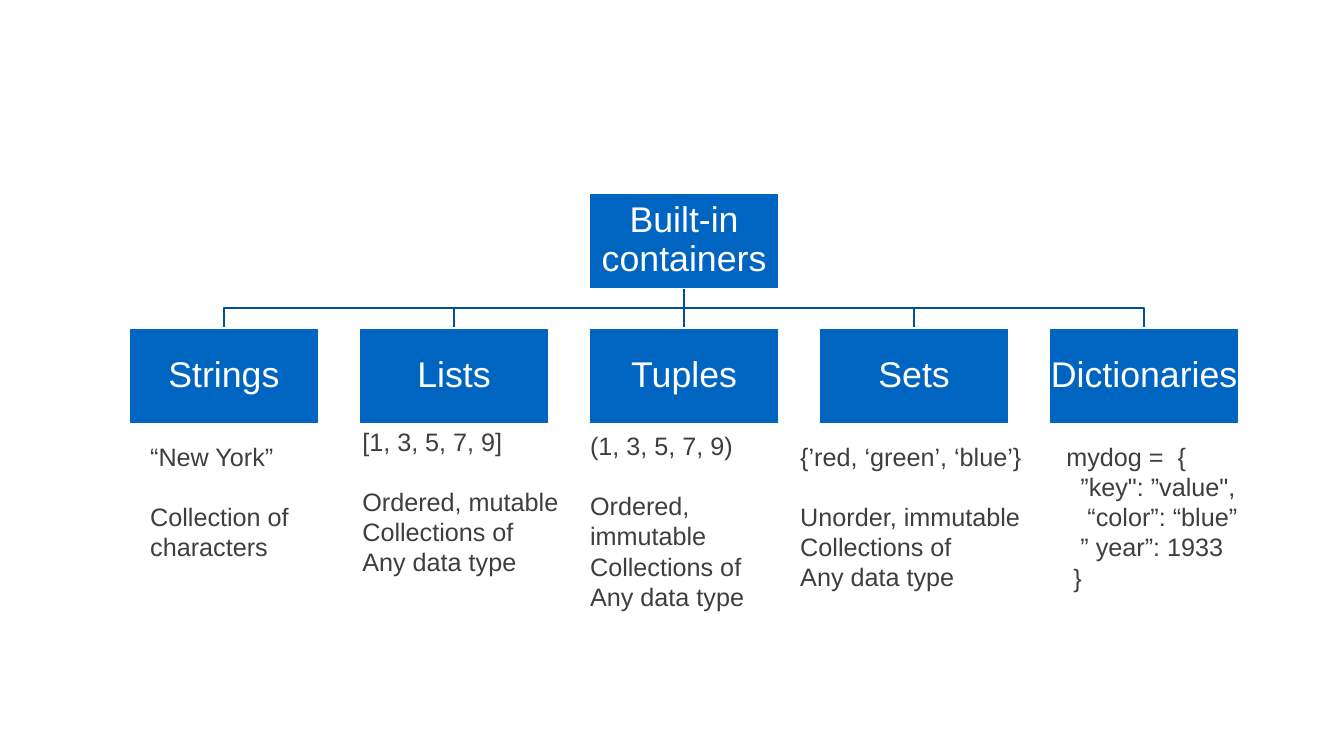
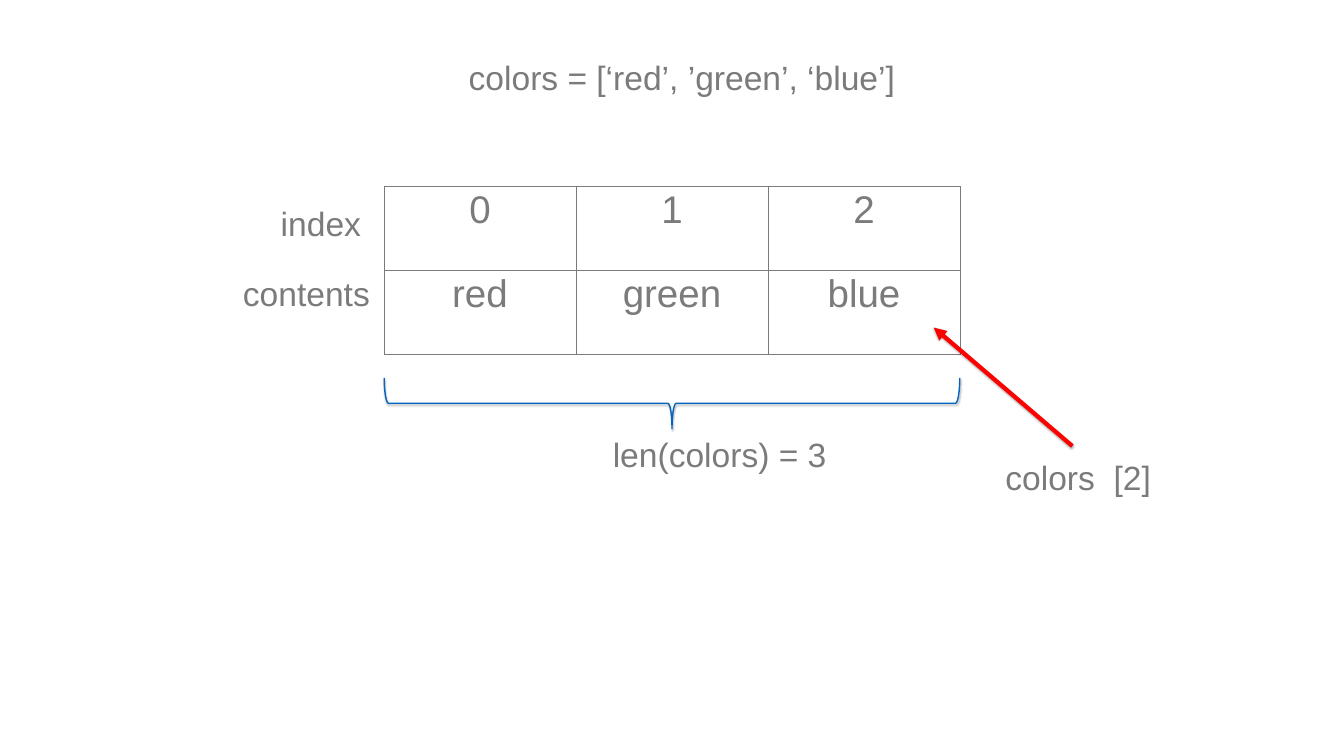
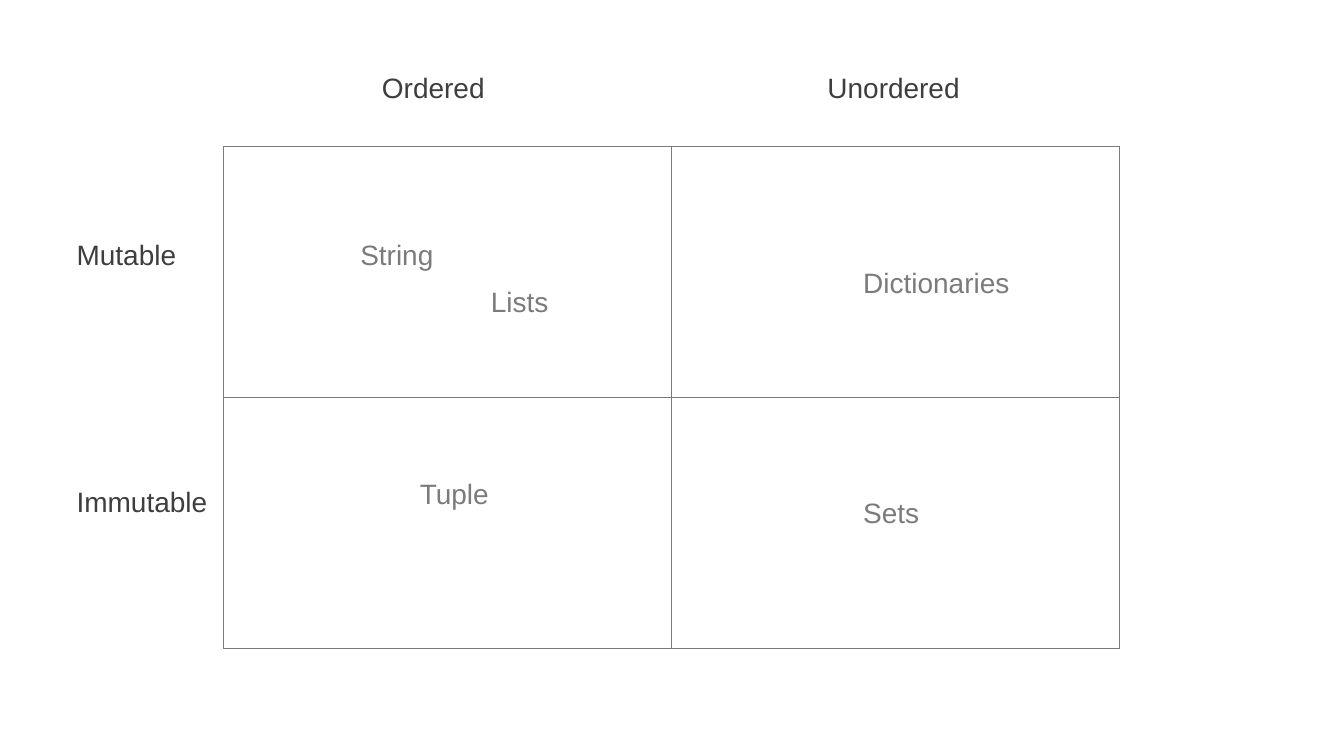
from dataclasses import dataclass
from typing import Optional

from lxml.etree import SubElement
from pptx import Presentation
from pptx.dml.color import RGBColor
from pptx.enum.shapes import MSO_CONNECTOR, MSO_SHAPE
from pptx.enum.text import MSO_ANCHOR, PP_ALIGN
from pptx.oxml import parse_xml
from pptx.oxml.ns import nsdecls, qn
from pptx.slide import Slide
from pptx.table import Table, _Cell
from pptx.text.text import TextFrame
from pptx.util import Inches, Pt

FONT = "Arial"
WHITE = "FFFFFF"
BOX_BLUE = "0065C0"
BRANCH_BLUE = "005098"
BRACE_BLUE = "0365C0"
RED = "FF0000"
DARK = "3E3E3E"
GREY = "7B7B7B"

NODE_WIDTH, NODE_HEIGHT = 3.77, 1.89
NODE_LEFT, NODE_STEP = 2.56, 4.565
NODE_INSET = 0.01
ROOT_TOP, NODE_TOP = 3.83, 6.51
SPACE_WIDTH = 0.14
BLANK_LINE = 42.5


@dataclass(frozen=True)
class Label:
    text: str
    left: float
    top: float
    width: float
    color: str = GREY


@dataclass(frozen=True)
class Container:
    name: str
    example: str
    left: float
    top: float
    width: float
    height: float
    traits: tuple[str, ...] = ()
    code: tuple[tuple[int, str], ...] = ()


CONTAINERS = (
    Container("Strings", "“New York”", 2.93, 8.7, 3.02, 2.52,
              ("Collection of", "characters")),
    Container("Lists", "[1, 3, 5, 7, 9]", 7.14, 8.4, 4.03, 3.13,
              ("Ordered, mutable", "Collections of", "Any data type")),
    Container("Tuples", "(1, 3, 5, 7, 9)", 11.66, 8.49, 4.03, 3.74,
              ("Ordered, immutable", "Collections of", "Any data type")),
    Container("Sets", "{’red, ‘green’, ‘blue’}", 15.83, 8.7, 4.67, 3.13,
              ("Unorder, immutable", "Collections of", "Any data type")),
    Container("Dictionaries", "mydog =  {", 21.11, 8.7, 3.6, 3.13,
              code=((2, "”key\": ”value\","), (3, "“color”: “blue”"),
                    (2, "” year”: 1933"), (1, "}"))),
)

LIST_LABELS = (
    Label("colors = [‘red’, ’green’, ‘blue’]", 9.25, 1.07, 8.85),
    Label("index", 5.52, 3.98, 1.71),
    Label("contents", 4.77, 5.36, 2.65),
    Label("colors  [2]", 19.9, 9.01, 3.02),
    Label("len(colors) = 3", 12.11, 8.56, 4.39),
)

MATRIX_LABELS = (
    Label("Mutable", 1.47, 4.67, 2.1, DARK),
    Label("Immutable", 1.47, 9.56, 2.72, DARK),
    Label("Ordered", 7.53, 1.36, 2.16, DARK),
    Label("Unordered", 16.37, 1.36, 2.75, DARK),
    Label("String", 7.1, 4.67, 1.57),
    Label("Lists", 9.69, 5.59, 1.25),
    Label("Tuple", 8.28, 9.41, 1.5),
    Label("Sets", 17.08, 9.79, 1.22),
    Label("Dictionaries", 17.08, 5.21, 3.03),
)


def rgb(color: str) -> RGBColor:
    return RGBColor.from_string(color)


def write(frame: TextFrame, text: str, *, size: float, color: str,
          align: PP_ALIGN = PP_ALIGN.LEFT, spacing: Optional[float] = None,
          before: float = 0, indent: float = 0, first: bool = True) -> None:
    paragraph = frame.paragraphs[0] if first else frame.add_paragraph()
    paragraph.alignment = align
    if spacing:
        paragraph.line_spacing = spacing
    if before:
        paragraph.space_before = Pt(before)
    if indent:
        properties = paragraph._p.get_or_add_pPr()
        properties.set("marL", str(Inches(indent)))
        properties.set("indent", "0")
    run = paragraph.add_run()
    run.text = text
    run.font.name = FONT
    run.font.size = Pt(size)
    run.font.color.rgb = rgb(color)


def set_insets(frame: TextFrame, inset: float) -> None:
    frame.word_wrap = True
    frame.margin_left = frame.margin_right = Inches(inset)
    frame.margin_top = frame.margin_bottom = Inches(inset)


def add_text_area(slide: Slide, left: float, top: float,
                  width: float, height: float) -> TextFrame:
    frame = slide.shapes.add_textbox(
        Inches(left), Inches(top), Inches(width), Inches(height)).text_frame
    set_insets(frame, 0.05)
    return frame


def add_labels(slide: Slide, labels: tuple[Label, ...], size: float, height: float) -> None:
    for label in labels:
        frame = add_text_area(slide, label.left, label.top, label.width, height)
        write(frame, label.text, size=size, color=label.color)


def style_line(shape, color: str, width: float, shadow: bool = False) -> None:
    shape.line.color.rgb = rgb(color)
    shape.line.width = Pt(width)
    properties = shape.element.spPr
    effects = properties.find(qn("a:effectLst"))
    if effects is None:
        effects = SubElement(properties, qn("a:effectLst"))
    if shadow:
        effects.append(parse_xml(
            f'<a:outerShdw {nsdecls("a")} blurRad="{Pt(3)}" dist="{Pt(1.8)}" '
            'dir="5400000" rotWithShape="0"><a:srgbClr val="000000">'
            '<a:alpha val="35000"/></a:srgbClr></a:outerShdw>'))


def add_straight(slide: Slide, start: tuple[float, float], end: tuple[float, float]):
    return slide.shapes.add_connector(
        MSO_CONNECTOR.STRAIGHT, *(Inches(value) for value in start + end))


def add_branch(slide: Slide, root_x: float, child_x: float) -> None:
    root_bottom = ROOT_TOP + NODE_HEIGHT
    if abs(child_x - root_x) < 0.01:
        branch = add_straight(slide, (root_x, root_bottom), (root_x, NODE_TOP))
    else:
        middle = (root_bottom + NODE_TOP) / 2
        corners = ((root_x, middle), (child_x, middle), (child_x, NODE_TOP))
        builder = slide.shapes.build_freeform(Inches(root_x), Inches(root_bottom))
        builder.add_line_segments(
            [(Inches(x), Inches(y)) for x, y in corners], close=False)
        branch = builder.convert_to_shape()
        branch.fill.background()
        branch.shadow.inherit = False
    style_line(branch, BRANCH_BLUE, 2)


def add_node(slide: Slide, name: str, left: float, top: float) -> None:
    node = slide.shapes.add_shape(
        MSO_SHAPE.RECTANGLE, Inches(left), Inches(top),
        Inches(NODE_WIDTH), Inches(NODE_HEIGHT))
    node.shadow.inherit = False
    node.fill.solid()
    node.fill.fore_color.rgb = rgb(BOX_BLUE)
    style_line(node, WHITE, 2)
    set_insets(node.text_frame, NODE_INSET)
    node.text_frame.vertical_anchor = MSO_ANCHOR.MIDDLE
    write(node.text_frame, name, size=51, color=WHITE,
          align=PP_ALIGN.CENTER, spacing=0.9)


def add_description(slide: Slide, container: Container) -> None:
    frame = add_text_area(slide, container.left, container.top,
                          container.width, container.height)
    write(frame, container.example, size=36, color=DARK)
    for position, trait in enumerate(container.traits):
        write(frame, trait, size=36, color=DARK, first=False,
              before=0 if position else BLANK_LINE)
    for depth, statement in container.code:
        write(frame, statement, size=36, color=DARK, first=False,
              indent=depth * SPACE_WIDTH)


def outline_cell(cell: _Cell) -> None:
    cell.fill.background()
    properties = cell._tc.get_or_add_tcPr()
    for position, side in enumerate(("lnL", "lnR", "lnT", "lnB")):
        properties.insert(position, parse_xml(
            f'<a:{side} {nsdecls("a")} w="{Pt(1)}"><a:solidFill>'
            f'<a:srgbClr val="{GREY}"/></a:solidFill></a:{side}>'))


def add_grid(slide: Slide, rows: int, columns: int, left: float, top: float,
             column_width: float, row_height: float) -> Table:
    grid = slide.shapes.add_table(
        rows, columns, Inches(left), Inches(top),
        Inches(columns * column_width), Inches(rows * row_height)).table
    grid.first_row = grid.horz_banding = False
    for cell in grid.iter_cells():
        outline_cell(cell)
    return grid


def build_containers(slide: Slide) -> None:
    lefts = [NODE_LEFT + NODE_STEP * i for i in range(len(CONTAINERS))]
    root_left = lefts[len(lefts) // 2]
    for left in reversed(lefts):
        add_branch(slide, root_left + NODE_WIDTH / 2, left + NODE_WIDTH / 2)
    add_node(slide, "Built-in containers", root_left, ROOT_TOP)
    for container, left in zip(CONTAINERS, lefts):
        add_node(slide, container.name, left, NODE_TOP)
    for container in CONTAINERS:
        add_description(slide, container)


def build_list_indexing(slide: Slide) -> None:
    colors = ("red", "green", "blue")
    grid = add_grid(slide, 2, len(colors), 7.62, 3.7, 3.81, 1.665)
    for index, color_name in enumerate(colors):
        for row, content in enumerate((str(index), color_name)):
            write(grid.cell(row, index).text_frame, content, size=55,
                  color=GREY, align=PP_ALIGN.CENTER)
    add_labels(slide, LIST_LABELS, 48, 0.91)

    pointer = add_straight(slide, (21.28, 8.85), (18.53, 6.5))
    style_line(pointer, RED, 6, shadow=True)
    SubElement(pointer.line._get_or_add_ln(), qn("a:tailEnd"), type="triangle")

    length_brace = slide.shapes.add_shape(
        MSO_SHAPE.LEFT_BRACE, Inches(12.83), Inches(2.29), Inches(1.01), Inches(11.42))
    length_brace.rotation = 270
    length_brace.adjustments[0] = 0.083
    length_brace.fill.background()
    length_brace.shadow.inherit = False
    style_line(length_brace, BRACE_BLUE, 2, shadow=True)


def build_matrix(slide: Slide) -> None:
    add_grid(slide, 2, 2, 4.44, 2.91, 8.89, 4.98)
    add_labels(slide, MATRIX_LABELS, 40, 0.77)


def main() -> None:
    presentation = Presentation()
    presentation.slide_width = Inches(26.67)
    presentation.slide_height = Inches(15)
    blank_layout = presentation.slide_layouts[6]
    for build in (build_containers, build_list_indexing, build_matrix):
        build(presentation.slides.add_slide(blank_layout))
    presentation.save("out.pptx")


main()
